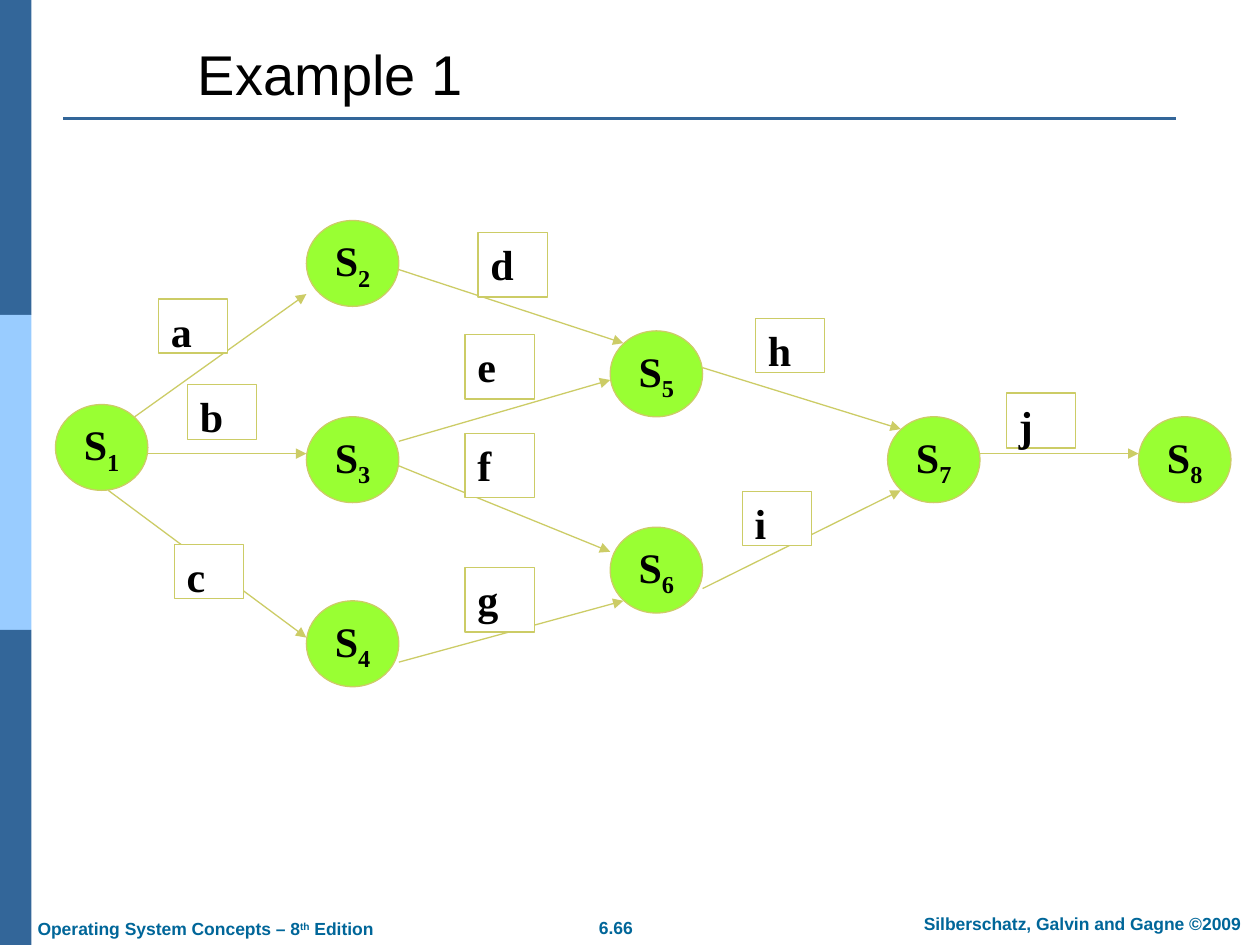
from lxml import etree
from pptx import Presentation
from pptx.dml.color import RGBColor
from pptx.enum.shapes import MSO_CONNECTOR, MSO_SHAPE
from pptx.enum.text import MSO_ANCHOR, MSO_AUTO_SIZE, PP_ALIGN
from pptx.oxml.ns import qn
from pptx.util import Inches, Pt

STRAIGHT = MSO_CONNECTOR.STRAIGHT
RECTANGLE, OVAL = MSO_SHAPE.RECTANGLE, MSO_SHAPE.OVAL
TOP, MIDDLE = MSO_ANCHOR.TOP, MSO_ANCHOR.MIDDLE
LEFT, CENTER, JUSTIFY = PP_ALIGN.LEFT, PP_ALIGN.CENTER, PP_ALIGN.JUSTIFY
NO_RESIZE = MSO_AUTO_SIZE.NONE

COLORS = {
    "bar": "336699", "bar_light": "99CCFF", "footer": "006699",
    "node": "99FF33", "edge": "CCCC66", "label": "FFFFFF", "text": "000000",
}
TITLE_FONT = {"name": "Arial", "size": Pt(32), "bold": False}
FOOTER_FONT = {"name": "Arial", "size": Pt(10), "bold": True}
GRAPH_FONT = {"name": "Times New Roman", "size": Pt(24), "bold": True}

GRAPH_COLUMNS, GRAPH_ROWS = 89, 38
NODE_SPAN = 7
LABEL_COLUMNS = 5.25
NODES = {
    "1": (0, 15), "3": (19, 16), "2": (19, 0), "4": (19, 31),
    "5": (42, 9), "6": (42, 25), "7": (63, 16), "8": (82, 16),
}
EDGES = {
    "a": ((6, 16), (19, 6), (7.8, 6.4, 4.4)),
    "b": ((7, 19), (19, 19), (10, 13.35, 4.5)),
    "c": ((4, 22), (19, 34), (9, 26.4, 4.4)),
    "d": ((26, 4), (43, 10), (32, 1, 5.25)),
    "e": ((26, 18), (42, 13), (31, 9.3, 5.25)),
    "f": ((26, 20), (42, 27), (31, 17.35, 5.25)),
    "g": ((26, 36), (43, 31), (31, 28.3, 5.25)),
    "h": ((49, 12), (64, 17), (53, 8, 4.4)),
    "i": ((49, 30), (64, 22), (52, 22.1, 4.4)),
    "j": ((70, 19), (82, 19), (72, 14.05, 4.5)),
}


def color(name):
    return RGBColor.from_string(COLORS[name])


def apply(target, values):
    for name, value in values.items():
        setattr(target, name, value)


def write(shape, spans, font, tint, align, anchor=TOP, wrap=True):
    frame = shape.text_frame
    apply(frame, {"auto_size": NO_RESIZE, "word_wrap": wrap, "vertical_anchor": anchor})
    para = frame.paragraphs[0]
    para.alignment = align
    for text, baseline in spans:
        span = para.add_run()
        span.text = text
        apply(span.font, font)
        span.font.color.rgb = color(tint)
        if baseline:
            span.font._element.set("baseline", str(baseline * 1000))
    return para


def draw_shape(page, kind, box, fill, outline=None):
    shape = page.shapes.add_shape(kind, *map(int, box))
    shape.shadow.inherit = False
    shape.fill.solid()
    shape.fill.fore_color.rgb = color(fill)
    if outline:
        shape.line.color.rgb = color(outline)
        shape.line.width = Pt(0.75)
    else:
        shape.line.fill.background()
    return shape


def draw_line(page, start, end, tint, width, arrow=False):
    line = page.shapes.add_connector(STRAIGHT, *map(int, (*start, *end)))
    line.line.color.rgb = color(tint)
    line.line.width = Pt(width)
    if arrow:
        etree.SubElement(line.line._get_or_add_ln(), qn("a:tailEnd"), type="triangle")
    etree.SubElement(line._element.spPr, qn("a:effectLst"))


def draw_sidebar(page, box):
    left, top, width, height = box
    fills = ("bar", "bar_light", "bar")
    step = height / len(fills)
    for index, fill in enumerate(fills):
        draw_shape(page, RECTANGLE, (left, top + index * step, width, step), fill)


def draw_title(page, box):
    left, top, width, height = box
    title = page.shapes.title
    apply(title, {
        "left": int(left + width * 0.11), "top": int(top),
        "width": int(width * 0.93), "height": int(height * 0.77),
    })
    para = write(title, [("Example 1", 0)], TITLE_FONT, "text", JUSTIFY)
    para.line_spacing = 0.9
    bottom = top + height
    draw_line(page, (left, bottom), (left + width, bottom), "bar", 1.5)


def draw_footer(page, box):
    left, top, width, height = box
    edition = [("Operating System Concepts – 8", 0), ("th", 30), (" Edition", 0)]
    parts = (
        (edition, 0, 0.13, 0.29, LEFT, False),
        ([("6.66", 0)], 0.45, 0.1, 0.05, CENTER, False),
        ([("Silberschatz, Galvin and Gagne ©2009", 0)], 0.7, 0, 0.3, CENTER, True),
    )
    for spans, across, down, share, align, wrap in parts:
        note = page.shapes.add_textbox(
            int(left + width * across), int(top + height * down),
            int(width * share), int(height * 0.87),
        )
        write(note, spans, FOOTER_FONT, "footer", align, wrap=wrap)


def draw_graph(page, box):
    left, top, width, height = box
    column, row = width / GRAPH_COLUMNS, height / GRAPH_ROWS

    def place(point):
        return left + point[0] * column, top + point[1] * row

    for number, corner in NODES.items():
        area = (*place(corner), NODE_SPAN * column, NODE_SPAN * row)
        node = draw_shape(page, OVAL, area, "node", "edge")
        write(node, [("S", 0), (number, -25)], GRAPH_FONT, "text", CENTER, MIDDLE, False)
    for start, end, _ in EDGES.values():
        draw_line(page, place(start), place(end), "edge", 0.75, arrow=True)
    for letter, (_, _, (across, down, rows)) in EDGES.items():
        area = (*place((across, down)), LABEL_COLUMNS * column, rows * row)
        label = draw_shape(page, RECTANGLE, area, "label", "edge")
        write(label, [(letter, 0)], GRAPH_FONT, "text", LEFT)


def main():
    deck = Presentation()
    deck.slide_width, deck.slide_height = Inches(10), Inches(7.5)
    page = deck.slides.add_slide(deck.slide_layouts[5])
    draw_sidebar(page, (0, 0, Inches(0.25), deck.slide_height))
    draw_title(page, [Inches(n) for n in (0.5, 0.32, 8.83, 0.62)])
    draw_footer(page, [Inches(n) for n in (0.2, 7.2, 9.87, 0.31)])
    draw_graph(page, [Inches(n) for n in (0.44, 1.75, 9.33, 3.7)])
    deck.save("out.pptx")


if __name__ == "__main__":
    main()
